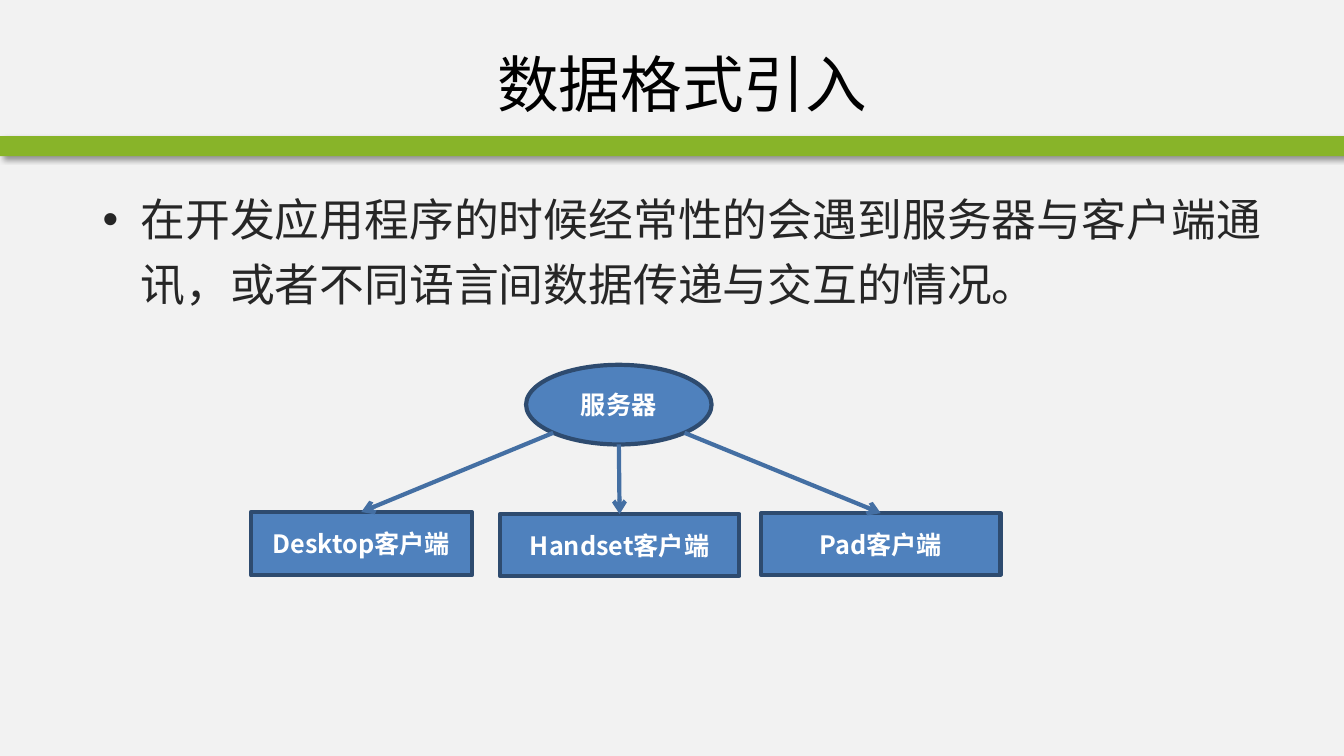
from lxml import etree
from pptx import Presentation, util as u
from pptx.dml.color import RGBColor
from pptx.enum import shapes, text
from pptx.oxml import ns

Pt = u.Pt
PAPER = RGBColor(0xF2, 0xF2, 0xF2)
GREEN = RGBColor(0x88, 0xB4, 0x29)
BLUE = RGBColor(0x4F, 0x81, 0xBD)
EDGE = RGBColor(0x2E, 0x4B, 0x6F)
ARROW = RGBColor(0x44, 0x6F, 0xA3)
BLACK = RGBColor(0, 0, 0)
INK = RGBColor(0x26, 0x26, 0x26)
WHITE = RGBColor(0xFF, 0xFF, 0xFF)


def add(parent, tag, **attrs):
    """Append a drawing element such as a:ea."""
    return etree.SubElement(parent, ns.qn(tag), attrs)


def write(frame, words, size, color, font, bold=False, bullet=False,
          align=text.PP_ALIGN.CENTER, anchor=text.MSO_ANCHOR.MIDDLE):
    """Fill a text frame with one formatted paragraph."""
    frame.word_wrap = True
    frame.vertical_anchor = anchor
    para = frame.paragraphs[0]
    para.alignment = align
    run = para.add_run()
    run.text = words
    run.font.size = Pt(size)
    run.font.bold = bold
    run.font.color.rgb = color
    run.font.name = font
    add(run.font._element, "a:ea", typeface=font)
    if bullet:
        para.line_spacing = 1.2
        para.space_before = Pt(0.2 * size)
        props = para._p.get_or_add_pPr()
        props.set("marL", str(Pt(27)))
        props.set("indent", str(-Pt(27)))
        add(props, "a:buFont", typeface="Arial")
        add(props, "a:buChar", char="•")


class Board:
    font = "Noto Sans CJK SC"
    stroke = 3

    def __init__(self, slide):
        self.slide = slide
        fill = slide.background.fill
        fill.solid()
        fill.fore_color.rgb = PAPER

    def shape(self, kind, box, fill):
        item = self.slide.shapes.add_shape(kind, *map(Pt, box))
        item.shadow.inherit = False
        item.fill.solid()
        item.fill.fore_color.rgb = fill
        item.line.fill.background()
        return item

    def band(self, box):
        item = self.shape(shapes.MSO_SHAPE.RECTANGLE, box, GREEN)
        effects = item._element.spPr.find(ns.qn("a:effectLst"))
        shade = add(effects, "a:outerShdw", blurRad=str(Pt(4)),
                    dist=str(Pt(3)), dir="2700000", algn="tl", rotWithShape="0")
        color = add(shade, "a:srgbClr", val="000000")
        add(color, "a:alpha", val="40000")

    def label(self, words, box, size, color, **style):
        item = self.slide.shapes.add_textbox(*map(Pt, box))
        write(item.text_frame, words, size, color, self.font, **style)

    def node(self, words, box, kind=shapes.MSO_SHAPE.RECTANGLE):
        item = self.shape(kind, box, BLUE)
        item.line.color.rgb = EDGE
        item.line.width = Pt(self.stroke)
        write(item.text_frame, words, 18, WHITE, self.font, bold=True)
        return item

    def arrow(self, start, goal):
        """Draw an arrow from a point to the top of a box."""
        x, y = map(Pt, start)
        item = self.slide.shapes.add_connector(
            shapes.MSO_CONNECTOR.STRAIGHT, x, y, x, y)
        item.end_connect(goal, 0)
        item.line.color.rgb = ARROW
        item.line.width = Pt(self.stroke)
        props = item._element.spPr
        add(props.find(ns.qn("a:ln")), "a:tailEnd", type="arrow")
        add(props, "a:effectLst")


def main():
    deck = Presentation()
    deck.slide_width, deck.slide_height = Pt(960), Pt(540)
    board = Board(deck.slides.add_slide(deck.slide_layouts[6]))

    # Heading and body
    board.band((0, 97.2, 960, 14.4))
    board.label("数据格式引入", (100, 21.6, 774.7, 75.6), 44, BLACK)
    board.label("在开发应用程序的时候经常性的会遇到服务器与客户端通讯，"
                "或者不同语言间数据传递与交互的情况。",
                (66.2, 126, 846, 118), 32, INK, bullet=True,
                align=text.PP_ALIGN.LEFT, anchor=text.MSO_ANCHOR.TOP)

    # Server
    left, top, width, height = 375.8, 260.6, 132.5, 56.9
    board.node("服务器", (left, top, width, height), shapes.MSO_SHAPE.OVAL)

    # Clients, each with an arrow from the lower rim of the server
    mid, low = left + width / 2, top + height
    reach, rise = 0.354 * width, 0.146 * height
    clients = [
        ("Desktop客户端", (179.2, 365.7, 157.8, 45.2), (mid - reach, low - rise)),
        ("Handset客户端", (357.1, 367.2, 171, 44.2), (mid, low)),
        ("Pad客户端", (543.6, 366.5, 171, 44.2), (mid + reach, low - rise)),
    ]
    for words, box, start in clients:
        board.arrow(start, board.node(words, box))

    deck.save("out.pptx")


if __name__ == "__main__":
    main()
